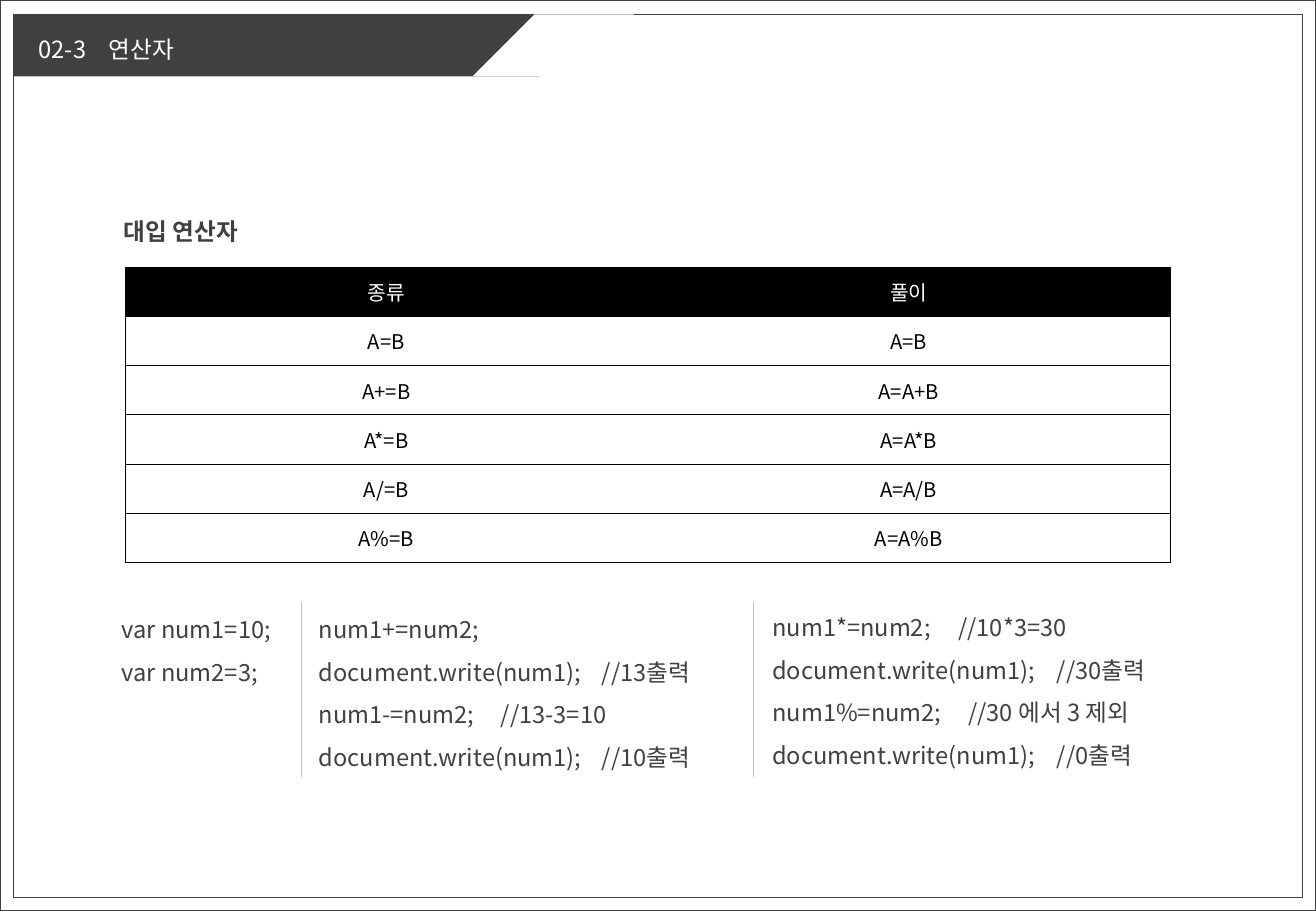
"""Builds the slide on JavaScript assignment operators."""
from dataclasses import dataclass

from lxml import etree
from pptx import Presentation
from pptx.dml.color import RGBColor
from pptx.enum.shapes import MSO_CONNECTOR, MSO_SHAPE
from pptx.enum.text import MSO_ANCHOR, MSO_AUTO_SIZE, PP_ALIGN
from pptx.oxml.ns import qn
from pptx.util import Pt

RECTANGLE = MSO_SHAPE.RECTANGLE
PARALLELOGRAM = MSO_SHAPE.PARALLELOGRAM
STRAIGHT = MSO_CONNECTOR.STRAIGHT
MIDDLE = MSO_ANCHOR.MIDDLE
FIT_SHAPE = MSO_AUTO_SIZE.SHAPE_TO_FIT_TEXT
CENTER = PP_ALIGN.CENTER


@dataclass(frozen=True)
class Theme:
    font: str = "Noto Sans CJK KR"
    dark: str = "404040"
    white: str = "FFFFFF"
    black: str = "000000"
    rule: str = "BFBFBF"
    body_size: float = 14
    table_size: float = 12
    line_spacing: float = 1.5
    frame_width: float = 1
    hairline: float = 0.5


@dataclass(frozen=True)
class Box:
    left: float
    top: float
    width: float
    height: float

    def lengths(self) -> tuple:
        return Pt(self.left), Pt(self.top), Pt(self.width), Pt(self.height)


@dataclass(frozen=True)
class Panel:
    box: Box
    fill: str
    outlined: bool = False
    kind: int = RECTANGLE


@dataclass(frozen=True)
class Line:
    text: str
    remark: str = ""
    tab: float = 0


@dataclass(frozen=True)
class TextBlock:
    box: Box
    lines: tuple
    color: str
    bold: bool = False


THEME = Theme()
BAND_TOP, BAND_HEIGHT = 8.6, 36.7
PANELS = (
    Panel(Box(0, 0, 780, 540), THEME.white, True),
    Panel(Box(8, BAND_TOP, 764, 523.4), THEME.white, True),
    Panel(Box(8, BAND_TOP, 311.8, BAND_HEIGHT), THEME.dark),
    Panel(Box(280.1, BAND_TOP, 95.8, BAND_HEIGHT), THEME.white, kind=PARALLELOGRAM),
)
TEXT_BLOCKS = (
    TextBlock(Box(15.8, BAND_TOP, 231, 32.4), (Line("02-3", "연산자", 41.5),), THEME.white),
    TextBlock(Box(66.2, 116.6, 632, 29.5), (Line("대입 연산자"),), THEME.dark, True),
    TextBlock(Box(65, 352.8, 149, 58.3),
              (Line("var num1=10;"), Line("var num2=3;")), THEME.dark),
    TextBlock(Box(181.9, 352.8, 255.6, 108.7), (
        Line("num1+=num2;"),
        Line("document.write(num1);", "//13출력", 167.7),
        Line("num1-=num2;", "//13-3=10", 107.9),
        Line("document.write(num1);", "//10출력", 167.7),
    ), THEME.dark),
    TextBlock(Box(450.7, 351.4, 278.6, 108.7), (
        Line("num1*=num2;", "//10*3=30", 110.2),
        Line("document.write(num1);", "//30출력", 168.7),
        Line("num1%=num2;", "//30 에서 3 제외", 116.1),
        Line("document.write(num1);", "//0출력", 168.7),
    ), THEME.dark),
)
OPERATORS_BOX = Box(74.2, 158.4, 619.2, 175)
OPERATORS = (
    ("종류", "풀이"),
    ("A=B", "A=B"),
    ("A+=B", "A=A+B"),
    ("A*=B", "A=A*B"),
    ("A/=B", "A=A/B"),
    ("A%=B", "A=A%B"),
)
DIVIDERS = (178.6, 446.4)
DIVIDER_TOP, DIVIDER_BOTTOM = 357.1, 460.8


def rgb(color: str) -> RGBColor:
    return RGBColor.from_string(color)


def style_runs(paragraph, size: float, color: str, bold: bool = False) -> None:
    for run in paragraph.runs:
        run.font.size = Pt(size)
        run.font.bold = bold
        run.font.color.rgb = rgb(color)
        run.font.name = THEME.font
        etree.SubElement(run._r.get_or_add_rPr(), qn("a:ea"), typeface=THEME.font)


def add_panel(slide, panel: Panel) -> None:
    shape = slide.shapes.add_shape(panel.kind, *panel.box.lengths())
    shape.shadow.inherit = False
    shape.fill.solid()
    shape.fill.fore_color.rgb = rgb(panel.fill)
    if panel.kind == PARALLELOGRAM:
        shape.adjustments[0] = 1
    if panel.outlined:
        shape.line.color.rgb = rgb(THEME.dark)
        shape.line.width = Pt(THEME.frame_width)
    else:
        shape.line.fill.background()


def add_text(slide, block: TextBlock) -> None:
    frame = slide.shapes.add_textbox(*block.box.lengths()).text_frame
    frame.word_wrap = True
    frame.auto_size = FIT_SHAPE
    frame.text = "\n".join(
        f"{line.text}\t{line.remark}" if line.remark else line.text for line in block.lines)
    for paragraph, line in zip(frame.paragraphs, block.lines):
        paragraph.line_spacing = THEME.line_spacing
        if line.remark:
            stops = etree.SubElement(paragraph._p.get_or_add_pPr(), qn("a:tabLst"))
            etree.SubElement(stops, qn("a:tab"), pos=str(Pt(line.tab)), algn="l")
        style_runs(paragraph, THEME.body_size, block.color, block.bold)


def set_borders(cell, first: bool, last: bool) -> None:
    sides = {"a:lnL": first, "a:lnR": last, "a:lnT": True, "a:lnB": True}
    properties = cell._tc.get_or_add_tcPr()
    for position, (side, visible) in enumerate(sides.items()):
        border = etree.Element(qn(side), w=str(Pt(THEME.hairline)))
        if visible:
            fill = etree.SubElement(border, qn("a:solidFill"))
            etree.SubElement(fill, qn("a:srgbClr"), val=THEME.black)
        else:
            etree.SubElement(border, qn("a:noFill"))
        properties.insert(position, border)


def add_operators(slide) -> None:
    row_count, column_count = len(OPERATORS), len(OPERATORS[0])
    table = slide.shapes.add_table(row_count, column_count, *OPERATORS_BOX.lengths()).table
    table.horz_banding = False
    for row in table.rows:
        row.height = Pt(round(OPERATORS_BOX.height / row_count, 2))
    for row_index, entries in enumerate(OPERATORS):
        header = row_index == 0
        for column_index, entry in enumerate(entries):
            cell = table.cell(row_index, column_index)
            cell.fill.solid()
            cell.fill.fore_color.rgb = rgb(THEME.black if header else THEME.white)
            cell.vertical_anchor = MIDDLE
            cell.text_frame.text = entry
            paragraph = cell.text_frame.paragraphs[0]
            paragraph.alignment = CENTER
            style_runs(paragraph, THEME.table_size, THEME.white if header else THEME.black)
            set_borders(cell, column_index == 0, column_index == column_count - 1)


def add_divider(slide, x: float) -> None:
    divider = slide.shapes.add_connector(
        STRAIGHT, Pt(x), Pt(DIVIDER_TOP), Pt(x), Pt(DIVIDER_BOTTOM))
    divider.line.color.rgb = rgb(THEME.rule)
    divider.line.width = Pt(THEME.hairline)
    etree.SubElement(divider._element.spPr, qn("a:effectLst"))


def main() -> None:
    deck = Presentation()
    deck.slide_width, deck.slide_height = Pt(780), Pt(540)
    slide = deck.slides.add_slide(deck.slide_layouts[6])
    for panel in PANELS:
        add_panel(slide, panel)
    for block in TEXT_BLOCKS:
        add_text(slide, block)
    add_operators(slide)
    for x in DIVIDERS:
        add_divider(slide, x)
    deck.save("out.pptx")


if __name__ == "__main__":
    main()
